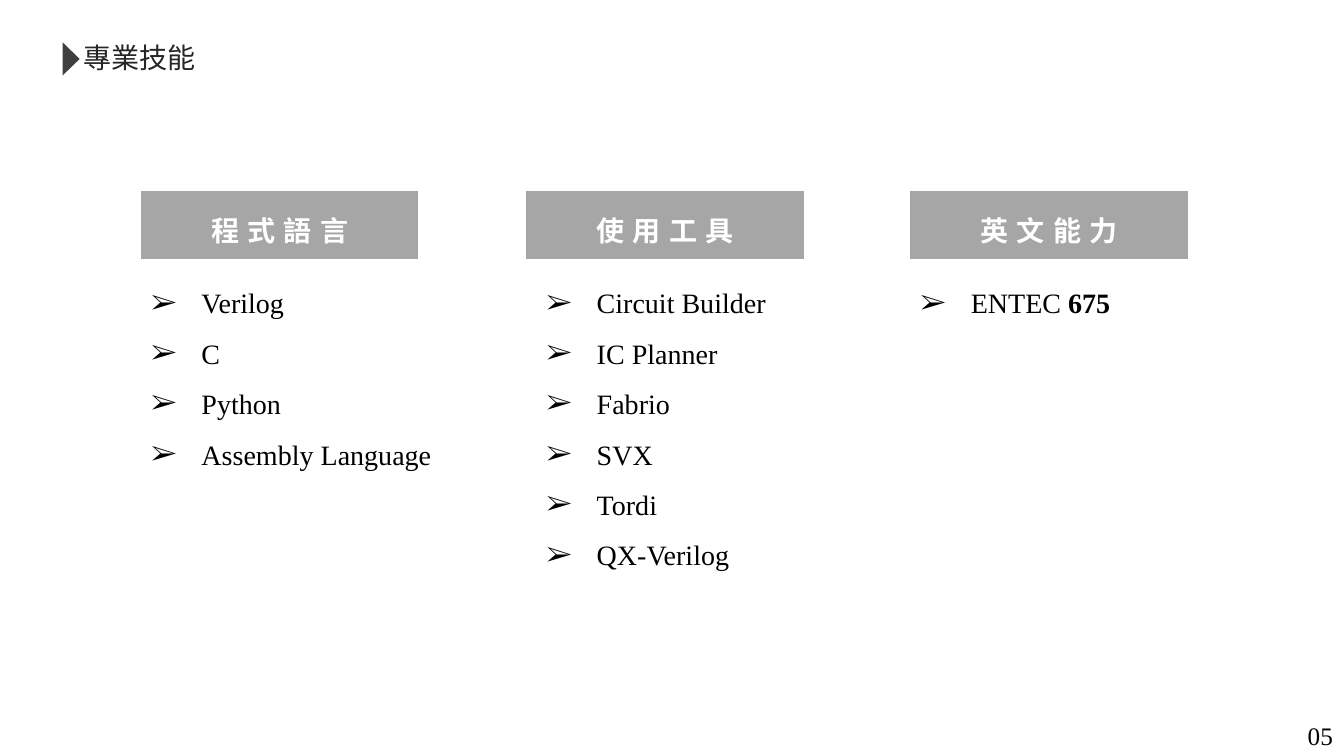
from dataclasses import dataclass

from lxml.etree import SubElement
from pptx import Presentation
from pptx.dml.color import RGBColor as Rgb
from pptx.enum.shapes import MSO_SHAPE as Kind
from pptx.enum.text import MSO_ANCHOR as Anchor, PP_ALIGN as Align
from pptx.oxml.ns import qn
from pptx.shapes.autoshape import Shape
from pptx.slide import Slide
from pptx.util import Inches, Pt

HUES = {
    "white": "FFFFFF",
    "title": "262626",
    "arrow": "3F3F3F",
    "head": "A6A6A6",
    "text": "000000",
}
CJK = "Noto Sans CJK SC"
LATIN = "Times New Roman"
Box = tuple[float, float, float, float]


@dataclass
class Skill:
    head: str
    left: float
    width: float
    items: list[str]
    level: int = 0
    indent: float = 0.5
    score: str = ""


SKILLS = [
    Skill("程式語言", 1.4, 3.42, ["Verilog", "C", "Python", "Assembly Language"]),
    Skill("使用工具", 5.22, 2.75,
          ["Circuit Builder", "IC Planner", "Fabrio", "SVX", "Tordi", "QX-Verilog"],
          level=1, indent=0.6),
    Skill("英文能力", 9.03, 2.75, ["ENTEC "], score="675"),
]


def style(run, font: str, size: float, hue: str, bold: bool = False) -> None:
    run.font.name = font
    run.font.size = Pt(size)
    run.font.bold = bold
    run.font.color.rgb = Rgb.from_string(HUES[hue])
    SubElement(run.font._element, qn("a:ea")).set("typeface", font)


def add_block(slide: Slide, kind: Kind, box: Box, hue: str) -> Shape:
    block = slide.shapes.add_shape(kind, *map(Inches, box))
    block.shadow.inherit = False
    block.fill.solid()
    block.fill.fore_color.rgb = Rgb.from_string(HUES[hue])
    block.line.fill.background()
    return block


def add_label(slide: Slide, box: Box, text: str, font: str, size: float,
              hue: str, align: Align, wrap: bool) -> None:
    frame = slide.shapes.add_textbox(*map(Inches, box)).text_frame
    frame.word_wrap = wrap
    frame.text = text
    frame.paragraphs[0].alignment = align
    style(frame.paragraphs[0].runs[0], font, size, hue)


def add_head(slide: Slide, skill: Skill) -> None:
    block = add_block(slide, Kind.LINE_CALLOUT_3, (skill.left, 1.9, 2.75, 0.67), "head")
    frame = block.text_frame
    frame.text = skill.head
    frame.vertical_anchor = Anchor.MIDDLE
    frame.margin_top = Inches(0.02)
    frame.margin_bottom = Inches(0.08)
    para = frame.paragraphs[0]
    para.alignment = Align.CENTER
    para.line_spacing = 1.5
    style(para.runs[0], CJK, 20, "white", True)
    para.runs[0].font._element.set("spc", "600")


def add_list(slide: Slide, skill: Skill) -> None:
    box = (skill.left, 2.62, skill.width, 0.1 + 0.5 * len(skill.items))
    frame = slide.shapes.add_textbox(*map(Inches, box)).text_frame
    frame.word_wrap = True
    frame.text = "\n".join(skill.items)
    for para in frame.paragraphs:
        para.level = skill.level
        para.line_spacing = 1.5
        props = para._p.get_or_add_pPr()
        props.set("marL", str(Inches(skill.indent)))
        props.set("indent", str(Inches(-0.5)))
        SubElement(props, qn("a:buFont")).set("typeface", LATIN)
        SubElement(props, qn("a:buChar")).set("char", "➢")
        style(para.runs[0], LATIN, 20, "text")
    if skill.score:
        run = frame.paragraphs[-1].add_run()
        run.text = skill.score
        style(run, LATIN, 20, "text", True)


def main() -> None:
    deck = Presentation()
    deck.slide_width = Inches(13.33)
    deck.slide_height = Inches(7.5)
    slide = deck.slides.add_slide(deck.slide_layouts[6])

    # Backdrop
    add_block(slide, Kind.RECTANGLE, (0, 0, 13.33, 7.5), "white")

    # Title with its arrow
    add_label(slide, (0.73, 0.35, 1.32, 0.44), "專業技能", CJK, 20, "title",
              Align.LEFT, False)
    arrow = add_block(slide, Kind.ISOSCELES_TRIANGLE, (0.54, 0.5, 0.33, 0.17), "arrow")
    arrow.rotation = 90

    # Page number
    add_label(slide, (12.86, 7.1, 0.47, 0.4), "05", LATIN, 18, "text",
              Align.CENTER, True)

    # Skill columns
    for skill in SKILLS:
        add_head(slide, skill)
        add_list(slide, skill)

    deck.save("out.pptx")


if __name__ == "__main__":
    main()
